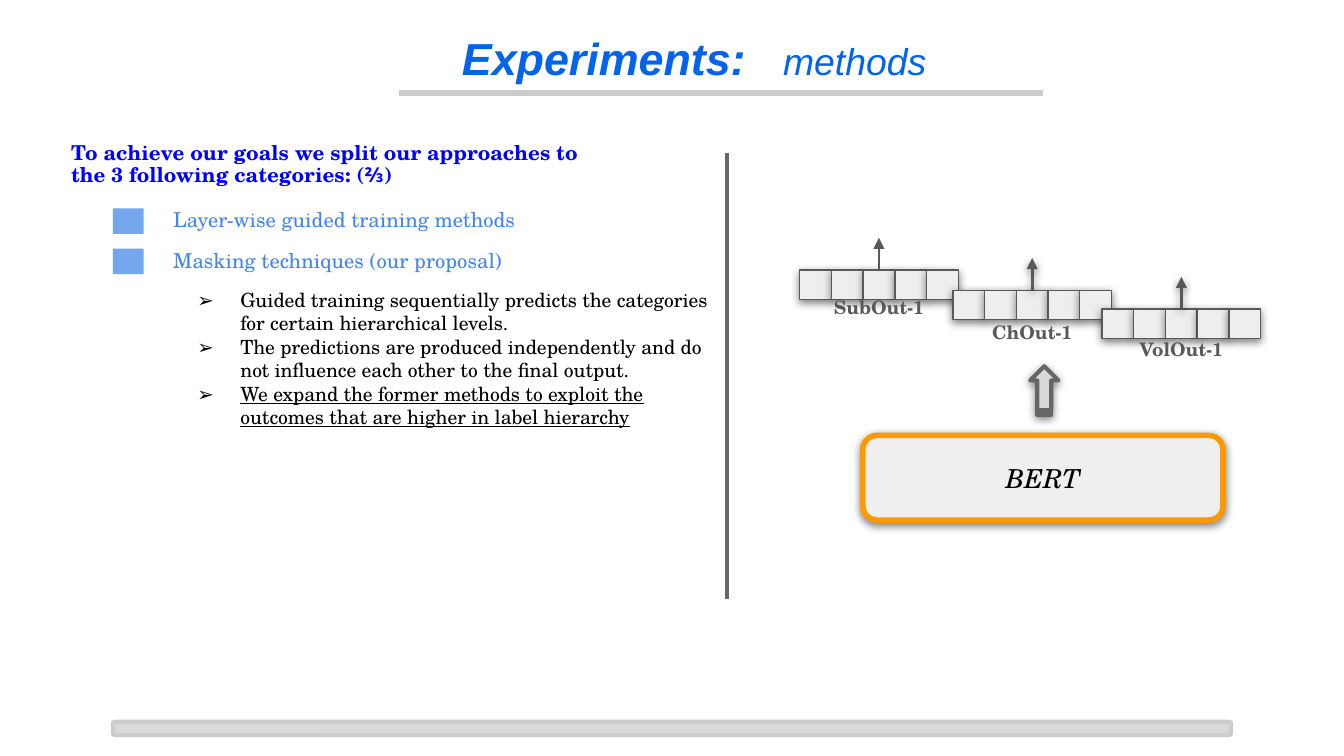
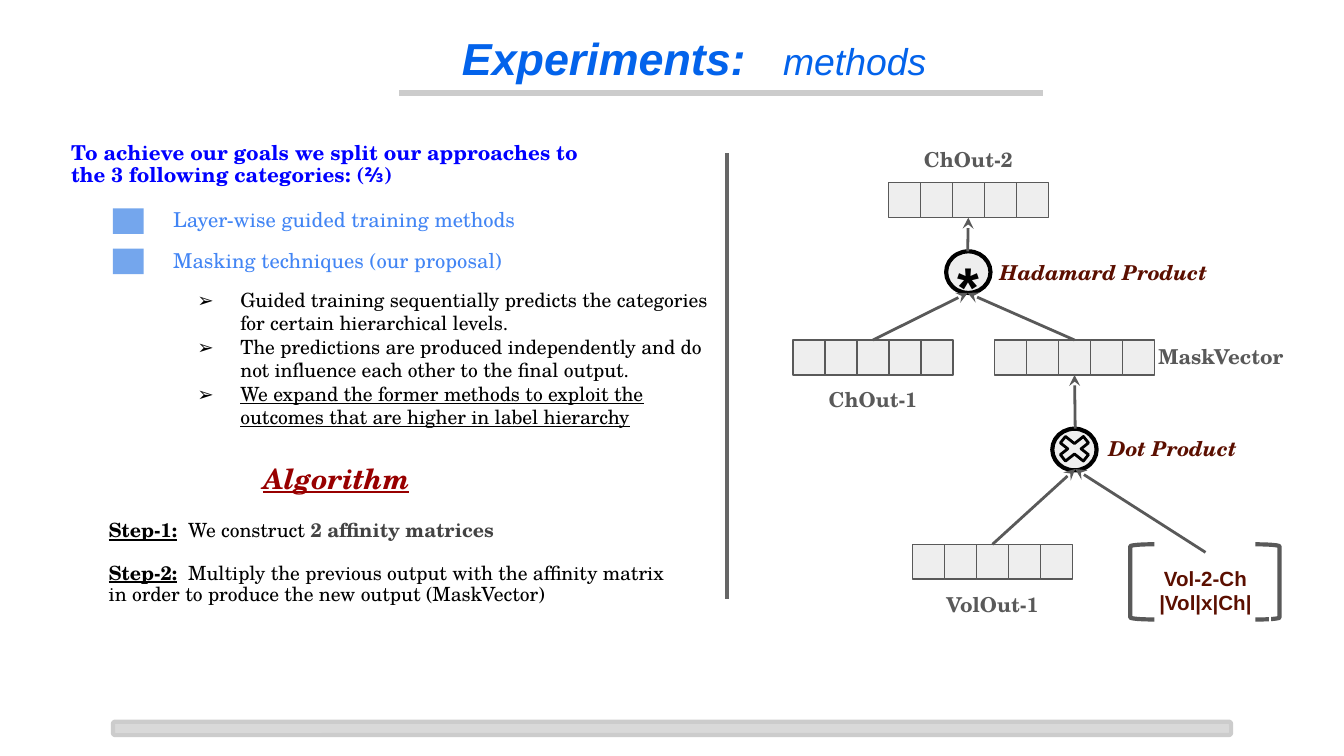
from dataclasses import dataclass, field
from typing import Any, Optional

from lxml.etree import SubElement
from pptx import Presentation
from pptx.dml.color import RGBColor
from pptx.enum.shapes import MSO_CONNECTOR, MSO_SHAPE as Preset
from pptx.enum.text import MSO_ANCHOR as Anchor, MSO_AUTO_SIZE as AutoSize, PP_ALIGN as Align
from pptx.oxml.ns import qn
from pptx.util import Inches, Pt

COLORS = {
    "title": "0363EB", "heading": "0000FF", "category": "4285F4", "marker": "74A6ED",
    "black": "000000", "white": "FFFFFF", "gray": "595959", "divider": "666666",
    "rule": "CCCCCC", "band": "D9D9D9", "cell": "EEEEEE", "model": "EFEFEF",
    "orange": "FF9900", "maroon": "5B0F00", "red": "980000", "strong": "434343",
}
SERIF, SANS = "TeX Gyre Schola", "Arial"
CELL_COUNT = 5
TOP, BOTTOM = 0, 2


@dataclass
class Box:
    left: float
    top: float
    width: float
    height: float

    def lengths(self) -> list:
        return [Inches(value) for value in (self.left, self.top, self.width, self.height)]


@dataclass
class Run:
    """A piece of text whose style overrides that of its paragraph."""
    text: str
    style: dict[str, Any] = field(default_factory=dict)


@dataclass
class VectorRow:
    left: float
    top: float
    label: str = ""
    label_top: float = 0


@dataclass
class RowStyle:
    width: float
    height: float
    label_width: float
    label_size: float
    shadow: bool


CATEGORIES = ["Layer-wise guided training methods", "Masking techniques (our proposal)"]
FINDINGS = [
    "Guided training sequentially predicts the categories for certain hierarchical levels.",
    "The predictions are produced independently and do not influence each other to the final output.",
    [Run("We expand the former methods to exploit the outcomes that are higher in label hierarchy",
         {"underline": True})],
]
STEP_STYLE = {"bold": True, "underline": True}
STEP_GAP = Run(" ", {"spacing": 3})
STEPS = [
    [Run("Step-1:", STEP_STYLE), STEP_GAP, Run("We construct "),
     Run("2 affinity matrices", {"bold": True, "color": "strong"})],
    [Run("Step-2:", STEP_STYLE), STEP_GAP,
     Run("Multiply the previous output with the affinity matrix "
         "in order to produce the new output (MaskVector)")],
]
OUTPUT_STYLE = RowStyle(1.18, 0.22, 1.01, 10, True)
OUTPUT_ROWS = [
    VectorRow(5.95, 2.01, "SubOut-1", 2.12),
    VectorRow(7.09, 2.16, "ChOut-1", 2.3),
    VectorRow(8.2, 2.3, "VolOut-1", 2.43),
]
MASKING_STYLE = RowStyle(1.19, 0.26, 1.11, 11, False)
MASKING_ROWS = [
    VectorRow(6.79, 4.05, "VolOut-1", 4.31),
    VectorRow(7.4, 2.53),
    VectorRow(5.9, 2.53, "ChOut-1", 2.79),
    VectorRow(6.61, 1.36, "ChOut-2", 1),
]


def rgb(name: str) -> RGBColor:
    return RGBColor.from_string(COLORS[name])


def add_run(paragraph, text: str, *, size: float, color: str, font: str = SERIF,
            bold: bool = False, italic: bool = False, underline: bool = False,
            spacing: float = 0) -> None:
    run = paragraph.add_run()
    run.text = text
    run.font.name, run.font.size = font, Pt(size)
    run.font.bold, run.font.italic, run.font.underline = bold, italic, underline
    run.font.color.rgb = rgb(color)
    if spacing:
        run._r.get_or_add_rPr().set("spc", str(round(spacing * 100)))


def add_bullet(paragraph, character: str, color: str) -> None:
    properties = paragraph._p.get_or_add_pPr()
    properties.set("marL", str(Inches(0.5)))
    properties.set("indent", str(Inches(-0.32)))
    bullet_color = SubElement(properties, qn("a:buClr"))
    SubElement(bullet_color, qn("a:srgbClr"), val=COLORS[color])
    SubElement(properties, qn("a:buFont"), typeface=SERIF)
    SubElement(properties, qn("a:buChar"), char=character)


def write_text(shape, paragraphs: list, *, align: Align = Align.LEFT, anchor: Anchor = Anchor.TOP,
               line_spacing: float = 1, gap: float = 0, bullet: str = "", grow: bool = False,
               **style: Any) -> None:
    """Fill a shape with paragraphs, each a string or a list of runs."""
    frame = shape.text_frame
    frame.word_wrap = True
    frame.auto_size = AutoSize.SHAPE_TO_FIT_TEXT if grow else AutoSize.NONE
    frame.vertical_anchor = anchor
    frame.margin_left = frame.margin_right = frame.margin_top = frame.margin_bottom = Inches(0.1)
    for index, content in enumerate(paragraphs):
        paragraph = frame.add_paragraph() if index else frame.paragraphs[0]
        paragraph.alignment = align
        paragraph.line_spacing = line_spacing
        if index and gap:
            paragraph.space_before = Pt(gap)
        if bullet:
            add_bullet(paragraph, bullet, "black")
        for run in [Run(content)] if isinstance(content, str) else content:
            add_run(paragraph, run.text, **{**style, **run.style})


def add_text(slide, box: Box, *paragraphs, **style: Any) -> None:
    write_text(slide.shapes.add_textbox(*box.lengths()), list(paragraphs), **style)


def set_effects(shape, shadow: bool) -> None:
    """Replace the theme shadow by none or by a soft one below the shape."""
    effects = SubElement(shape.element.spPr, qn("a:effectLst"))
    if shadow:
        outer = SubElement(effects, qn("a:outerShdw"), blurRad=str(Pt(4.5)), dist=str(Pt(1.5)),
                           dir="5400000", algn="bl", rotWithShape="0")
        color = SubElement(outer, qn("a:srgbClr"), val=COLORS["black"])
        SubElement(color, qn("a:alpha"), val="50000")


def add_shape(slide, preset: Preset, box: Box, *, fill: Optional[str] = None,
              line: Optional[str] = None, width: float = 0.75, rotation: float = 0,
              shadow: bool = False):
    shape = slide.shapes.add_shape(preset, *box.lengths())
    shape.rotation = rotation
    if fill:
        shape.fill.solid()
        shape.fill.fore_color.rgb = rgb(fill)
    else:
        shape.fill.background()
    if line:
        shape.line.color.rgb = rgb(line)
        shape.line.width = Pt(width)
    else:
        shape.line.fill.background()
    set_effects(shape, shadow)
    return shape


def add_line(slide, start: tuple, end: tuple, *, color: str = "gray", width: float = 1.5,
             arrow: str = "", shadow: bool = False, begin: Optional[tuple] = None,
             finish: Optional[tuple] = None) -> None:
    """Draw a straight line; begin and finish are (shape, side) pairs to join."""
    points = [Inches(value) for value in (*start, *end)]
    connector = slide.shapes.add_connector(MSO_CONNECTOR.STRAIGHT, *points)
    if begin:
        connector.begin_connect(*begin)
    if finish:
        connector.end_connect(*finish)
    connector.line.color.rgb = rgb(color)
    connector.line.width = Pt(width)
    if arrow:
        SubElement(connector.element.spPr.find(qn("a:ln")), qn("a:tailEnd"), type=arrow)
    set_effects(connector, shadow)


def add_row(slide, row: VectorRow, style: RowStyle):
    """Draw a row of cells with its label and return the middle cell."""
    cell_width = style.width / CELL_COUNT
    cells = [
        add_shape(slide, Preset.RECTANGLE,
                  Box(row.left + index * cell_width, row.top, cell_width, style.height),
                  fill="cell", line="gray", shadow=style.shadow)
        for index in range(CELL_COUNT)
    ]
    if row.label:
        left = row.left + (style.width - style.label_width) / 2
        add_text(slide, Box(left, row.label_top, style.label_width, 0.38), row.label,
                 size=style.label_size, color="gray", bold=True, align=Align.CENTER, grow=True)
    return cells[CELL_COUNT // 2]


def add_methods_slide(presentation):
    """Add a slide with the title, the category list and the bands that both slides share."""
    slide = presentation.slides.add_slide(presentation.slide_layouts[6])
    add_line(slide, (2.97, 0.69), (7.76, 0.69), color="rule", width=3)
    add_shape(slide, Preset.ROUNDED_RECTANGLE, Box(0.84, 5.37, 8.32, 0.1),
              fill="band", line="rule", width=2.25)
    add_text(slide, Box(2.94, 0.13, 4.45, 0.63),
             [Run("Experiments:", {"bold": True}), Run(" ", {"bold": True, "spacing": 13.3}),
              Run("methods", {"size": 20})],
             size=24, color="title", font=SANS, italic=True, align=Align.CENTER)
    add_text(slide, Box(0.43, 0.96, 4.01, 0.54),
             "To achieve our goals we split our approaches to the 3 following categories: (⅔)",
             size=11, color="heading", bold=True, line_spacing=0.9, grow=True)
    for index, category in enumerate(CATEGORIES):
        top = 1.47 + index * 0.3
        add_shape(slide, Preset.RECTANGLE, Box(0.84, top + 0.08, 0.23, 0.19), fill="marker")
        add_text(slide, Box(1.19, top, 3.4, 0.35), category, size=11, color="category",
                 anchor=Anchor.MIDDLE, line_spacing=0.9)
    add_text(slide, Box(1.19, 2.04, 4.22, 1.26), *FINDINGS, size=10.5, color="black",
             bullet="➢", grow=True)
    add_line(slide, (5.41, 1.14), (5.41, 4.46), color="divider", width=2.25)
    return slide


def add_model_diagram(slide) -> None:
    middles = [add_row(slide, row, OUTPUT_STYLE) for row in OUTPUT_ROWS]
    for row, middle in zip(OUTPUT_ROWS, middles):
        center = row.left + OUTPUT_STYLE.width / 2
        add_line(slide, (center, row.top), (center, row.top - 0.24), arrow="triangle",
                 shadow=row is not OUTPUT_ROWS[0], begin=(middle, TOP))
    model = add_shape(slide, Preset.ROUNDED_RECTANGLE, Box(6.42, 3.24, 2.68, 0.63),
                      fill="model", line="orange", width=3, shadow=True)
    write_text(model, ["BERT"], size=14, color="black", italic=True, align=Align.CENTER,
               anchor=Anchor.MIDDLE)
    add_shape(slide, Preset.STRIPED_RIGHT_ARROW, Box(7.59, 2.8, 0.36, 0.21), fill="band",
              line="divider", width=2.25, rotation=270, shadow=True)


def add_algorithm(slide) -> None:
    add_text(slide, Box(1.49, 3.36, 2.02, 0.43), "Algorithm", size=15, color="red", bold=True,
             italic=True, underline=True, align=Align.CENTER, line_spacing=0.9, grow=True)
    add_text(slide, Box(0.71, 3.77, 4.35, 0.84), *STEPS, size=10.5, color="black",
             anchor=Anchor.MIDDLE, line_spacing=0.9, gap=11.4, grow=True)


def add_affinity_matrix(slide):
    bracket = {"line": "gray", "width": 2.25}
    add_shape(slide, Preset.LEFT_BRACKET, Box(9.34, 4.05, 0.18, 0.56), rotation=180, **bracket)
    matrix = add_shape(slide, Preset.RECTANGLE, Box(8.49, 4.11, 0.96, 0.57), line="white")
    write_text(matrix, ["Vol-2-Ch", "|Vol|x|Ch|"], size=11, color="maroon", font=SANS, bold=True,
               align=Align.CENTER, grow=True)
    add_shape(slide, Preset.LEFT_BRACKET, Box(8.41, 4.05, 0.18, 0.56), **bracket)
    return matrix


def add_masking_diagram(slide) -> None:
    volume, mask, chapter, result = [add_row(slide, row, MASKING_STYLE) for row in MASKING_ROWS]
    matrix = add_affinity_matrix(slide)
    for left, top in ((7.83, 3.19), (7.04, 1.87)):
        add_shape(slide, Preset.OVAL, Box(left, top, 0.33, 0.31), fill="cell", line="black",
                  width=2.25)
    dot_bottom, hadamard_bottom = (8, 3.49), (7.2, 2.18)
    for source, start, end in (
        (volume, (7.38, 4.05), dot_bottom), (matrix, (8.97, 4.11), dot_bottom),
        (chapter, (6.49, 2.53), hadamard_bottom), (mask, (7.99, 2.53), hadamard_bottom),
    ):
        add_line(slide, start, end, arrow="stealth", begin=(source, TOP))
    for target, start, end in ((mask, (8, 3.19), (7.99, 2.79)), (result, (7.2, 1.87), (7.2, 1.62))):
        add_line(slide, start, end, arrow="stealth", finish=(target, BOTTOM))
    add_shape(slide, Preset.MATH_MULTIPLY, Box(7.83, 3.21, 0.33, 0.26), fill="cell",
              line="black", width=1.5)
    add_text(slide, Box(6.97, 1.77, 0.47, 0.71), "*", size=30, color="black", font=SANS,
             bold=True, align=Align.CENTER, grow=True)
    for box, name, color in (
        (Box(7.34, 1.84, 1.76, 0.39), "Hadamard Product", "maroon"),
        (Box(8.15, 3.15, 1.33, 0.39), "Dot Product", "maroon"),
        (Box(8.52, 2.47, 1.18, 0.39), "MaskVector", "gray"),
    ):
        add_text(slide, box, name, size=11, color=color, bold=True, italic=color == "maroon",
                 grow=True)


def main() -> None:
    presentation = Presentation()
    presentation.slide_width = Inches(10)
    presentation.slide_height = Inches(10 * 9 / 16)
    add_model_diagram(add_methods_slide(presentation))
    masking_slide = add_methods_slide(presentation)
    add_algorithm(masking_slide)
    add_masking_diagram(masking_slide)
    presentation.save("out.pptx")


if __name__ == "__main__":
    main()
